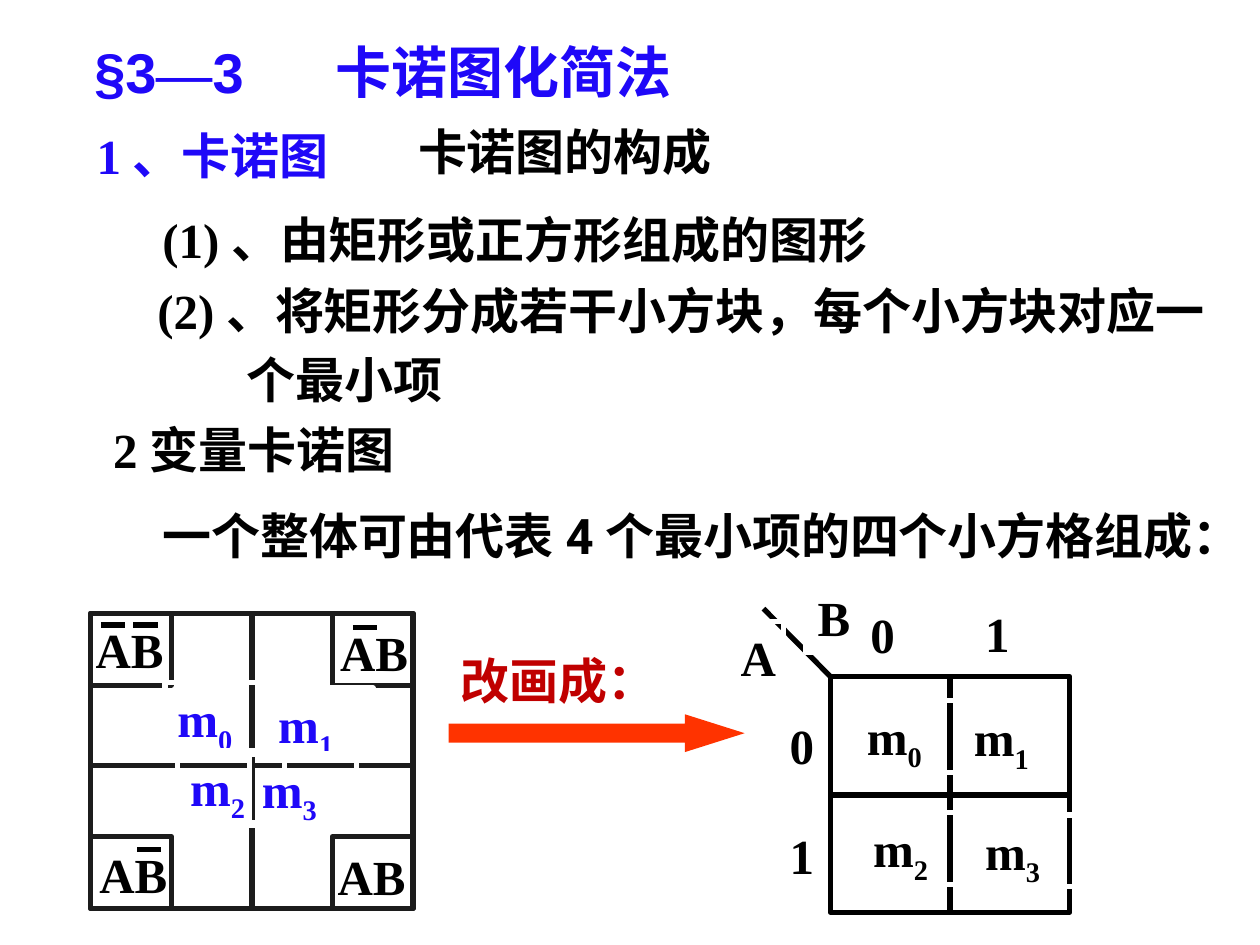
from dataclasses import dataclass
from itertools import product

from lxml.etree import SubElement
from pptx import Presentation
from pptx.dml.color import RGBColor
from pptx.enum.shapes import MSO_CONNECTOR as Conn, MSO_SHAPE as Shp
from pptx.enum.text import MSO_ANCHOR as Anchor, PP_ALIGN as Align
from pptx.oxml.ns import qn
from pptx.util import Pt

BLACK, BLUE, RED, WHITE = "000000", "1F08F8", "C00000", "FFFFFF"
DARK, ORANGE = "1C1C1C", "FF3300"
SANS, SERIF, HEAD = "Roboto", "Times New Roman", "Arial"
LINE_W = 3
ROW_H = 41


@dataclass
class Run:
    text: str
    font: str = SERIF
    sub: bool = False


@dataclass
class Label:
    x: float
    y: float
    w: float
    runs: list[Run]
    color: str = BLACK


@dataclass
class Minterm:
    """Product of A and B; bars holds (left, right) of each overline."""
    x: float
    y: float
    bars: list[tuple[float, float]]
    bar_y: float = 0


def rgb(value: str) -> RGBColor:
    return RGBColor.from_string(value)


def add_runs(p, runs: list[Run], color: str, size: float = 28) -> None:
    p.alignment = Align.LEFT
    for run in runs:
        r = p.add_run()
        r.text = run.text
        f = r.font
        f.name, f.size, f.bold = run.font, Pt(size), True
        f.color.rgb = rgb(color)
        if run.sub:
            r._r.get_or_add_rPr().set("baseline", "-25000")


def add_text(s, x: float, y: float, w: float, runs: list[Run],
             color: str = BLACK, size: float = 28, h: float = ROW_H):
    sp = s.shapes.add_textbox(Pt(x), Pt(y), Pt(w), Pt(h))
    tf = sp.text_frame
    tf.word_wrap = True
    add_runs(tf.paragraphs[0], runs, color, size)
    return tf


def add_rect(s, x: float, y: float, w: float, h: float, color: str):
    sp = s.shapes.add_shape(Shp.RECTANGLE, Pt(x), Pt(y), Pt(w), Pt(h))
    sp.shadow.inherit = False
    sp.fill.background()
    sp.line.color.rgb = rgb(color)
    sp.line.width = Pt(LINE_W)
    return sp


def add_line(s, x1: float, y1: float, x2: float, y2: float, color: str = BLACK) -> None:
    ln = s.shapes.add_connector(Conn.STRAIGHT, Pt(x1), Pt(y1), Pt(x2), Pt(y2))
    ln.line.color.rgb = rgb(color)
    ln.line.width = Pt(LINE_W)
    SubElement(ln._element.spPr, qn("a:effectLst"))


def add_label(s, label: Label) -> None:
    """Text in an unfilled box whose white border cuts the lines below it."""
    tf = add_rect(s, label.x, label.y, label.w, ROW_H, WHITE).text_frame
    tf.word_wrap = True
    tf.vertical_anchor = Anchor.TOP
    add_runs(tf.paragraphs[0], label.runs, label.color)


def cell_name(i: int) -> list[Run]:
    return [Run("m"), Run(str(i), sub=True)]


def add_headings(s) -> None:
    tf = add_text(s, 46.8, 20.2, 423.4, [
        Run("§3", HEAD), Run("—"), Run("3\t卡诺图化简法", HEAD)], BLUE, 32, 43.2)
    tf.vertical_anchor = Anchor.BOTTOM
    tabs = SubElement(tf.paragraphs[0]._p.get_or_add_pPr(), qn("a:tabLst"))
    SubElement(tabs, qn("a:tab"), pos=str(Pt(138)), algn="l")

    add_text(s, 231.8, 66.2, 205.2, [Run("卡诺图的构成", SANS)])
    add_text(s, 85.7, 115.9, 434.9, [Run("(1)"), Run("、由矩形或正方形组成的图形", SANS)])
    tf = add_text(s, 82.8, 157, 637.2, [
        Run("(2)"), Run("、将矩形分成若干小方块，每个小方块对应一", SANS)], h=81.4)
    p = tf.add_paragraph()
    p.space_before = Pt(5.6)
    p._p.get_or_add_pPr().set("marL", str(Pt(51)))
    add_runs(p, [Run("个最小项", SANS)], BLACK)
    add_text(s, 57.6, 236.2, 193.7, [Run("2"), Run("变量卡诺图", SANS)])
    add_text(s, 85.7, 285.1, 613.4, [Run("一个整体可由代表4个最小项的四个小方格组成：", SANS)])


def add_corner_map(s) -> None:
    x, y, w, h, corner_w = 51.8, 350.6, 184.3, 168.5, 46.1
    add_rect(s, x, y, w, h, DARK)
    add_line(s, x, y + 87, x + w, y + 87, DARK)
    add_line(s, x + w / 2, y, x + w / 2, y + h, DARK)
    for cx, cy in product((x, x + w - corner_w), (y, y + h - ROW_H)):
        add_rect(s, cx, cy, corner_w, ROW_H, DARK)

    for m in (Minterm(47.5, 350.6, [(57.6, 71.3), (76.3, 90)], 357.1),
              Minterm(187.2, 352.1, [(201.6, 215.3)], 358.6),
              Minterm(49.7, 478.8, [(78.5, 92.2)], 485.3),
              Minterm(185.8, 480.2, [])):
        add_text(s, m.x, m.y, 65.5, [Run("AB")])
        for left, right in m.bars:
            add_line(s, left, m.bar_y, right, m.bar_y)


def add_arrow(s) -> None:
    sp = s.shapes.add_shape(Shp.RIGHT_ARROW, Pt(256.3), Pt(408.2), Pt(169.2), Pt(21.6))
    sp.adjustments[0], sp.adjustments[1] = 0.5, 1.58
    sp.shadow.inherit = False
    sp.fill.solid()
    sp.fill.fore_color.rgb = rgb(ORANGE)
    sp.line.fill.background()
    add_text(s, 256.3, 367.9, 137.5, [Run("改画成：")], RED)


def add_grid_map(s) -> None:
    xs, ys = (474.5, 542.9, 611.3), (386.6, 454.3, 521.3)
    for i, j in product(range(2), repeat=2):
        add_rect(s, xs[i], ys[j], xs[i + 1] - xs[i], ys[j + 1] - ys[j], BLACK)
    for y in ys:
        add_line(s, xs[0], y, xs[-1], y)
    for x in xs:
        add_line(s, x, ys[0], x, ys[-1])
    add_line(s, xs[0], ys[0], 436.3, 347.8)


CORNER_CELLS = [(94.3, 390.2), (151.9, 393.1), (101.5, 429.1), (142.6, 430.6)]
GRID_CELLS = [(488.2, 400.3), (549.4, 401), (491.8, 464.4), (555.8, 465.8)]
AXIS_LABELS = [
    Label(460.1, 331.9, 46.8, [Run("B")]),
    Label(416.2, 355, 31.7, [Run("A")]),
    Label(490.3, 342, 58.3, [Run("0")]),
    Label(555.8, 341.3, 58.3, [Run("1")]),
    Label(444.2, 468, 22.3, [Run("1")]),
    Label(444.2, 405.4, 25.9, [Run("0")]),
]


def main() -> None:
    prs = Presentation()
    prs.slide_width, prs.slide_height = Pt(720), Pt(540)
    s = prs.slides.add_slide(prs.slide_layouts[6])
    add_headings(s)
    add_corner_map(s)
    add_arrow(s)
    for i, (x, y) in enumerate(CORNER_CELLS):
        add_label(s, Label(x, y, 61.2, cell_name(i), BLUE))
    add_text(s, 48.2, 68.4, 184.3, [Run("1、卡诺图")], BLUE)
    add_grid_map(s)
    for label in AXIS_LABELS:
        add_label(s, label)
    for i, (x, y) in enumerate(GRID_CELLS):
        add_label(s, Label(x, y, 58.3, cell_name(i)))
    prs.save("out.pptx")


if __name__ == "__main__":
    main()
